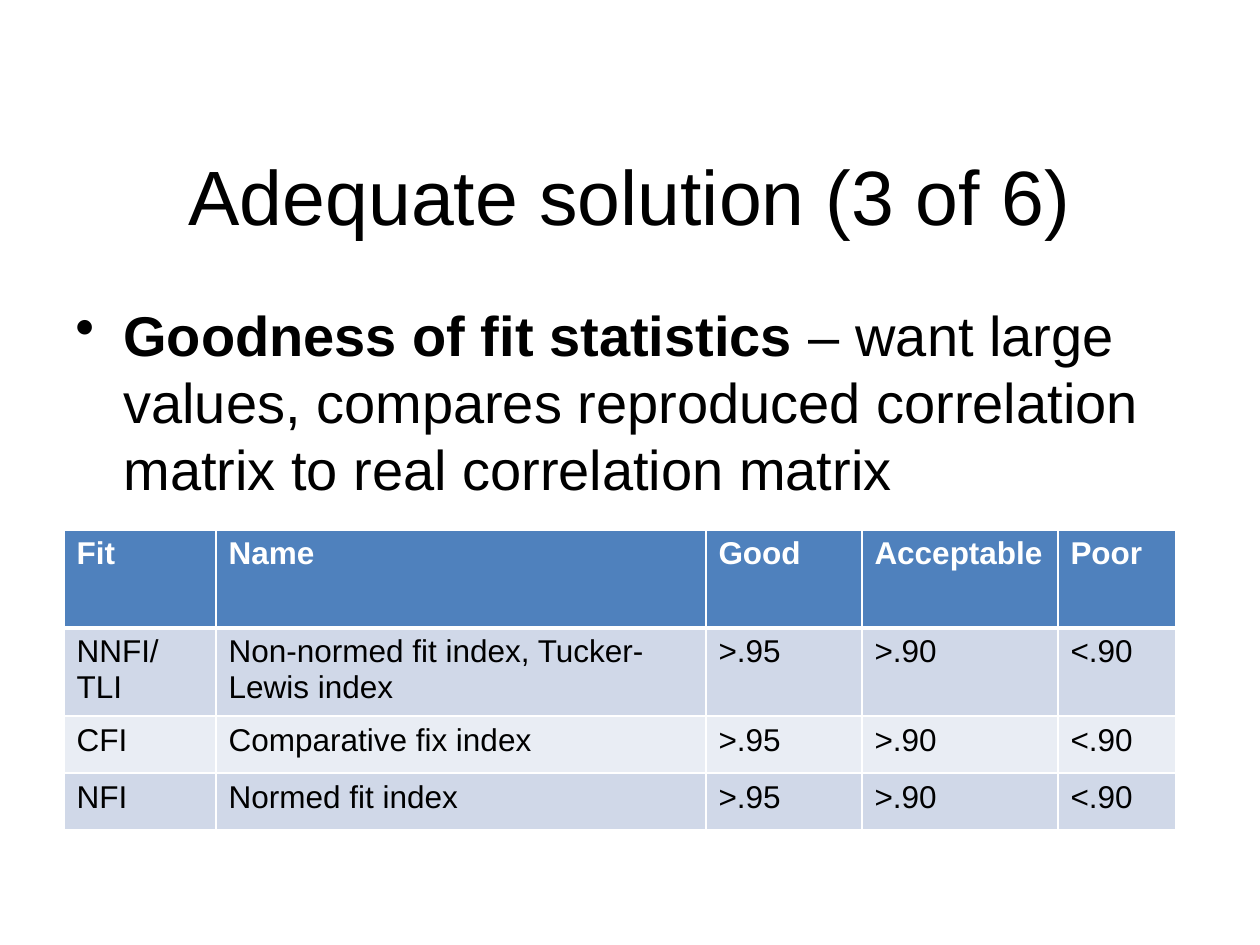
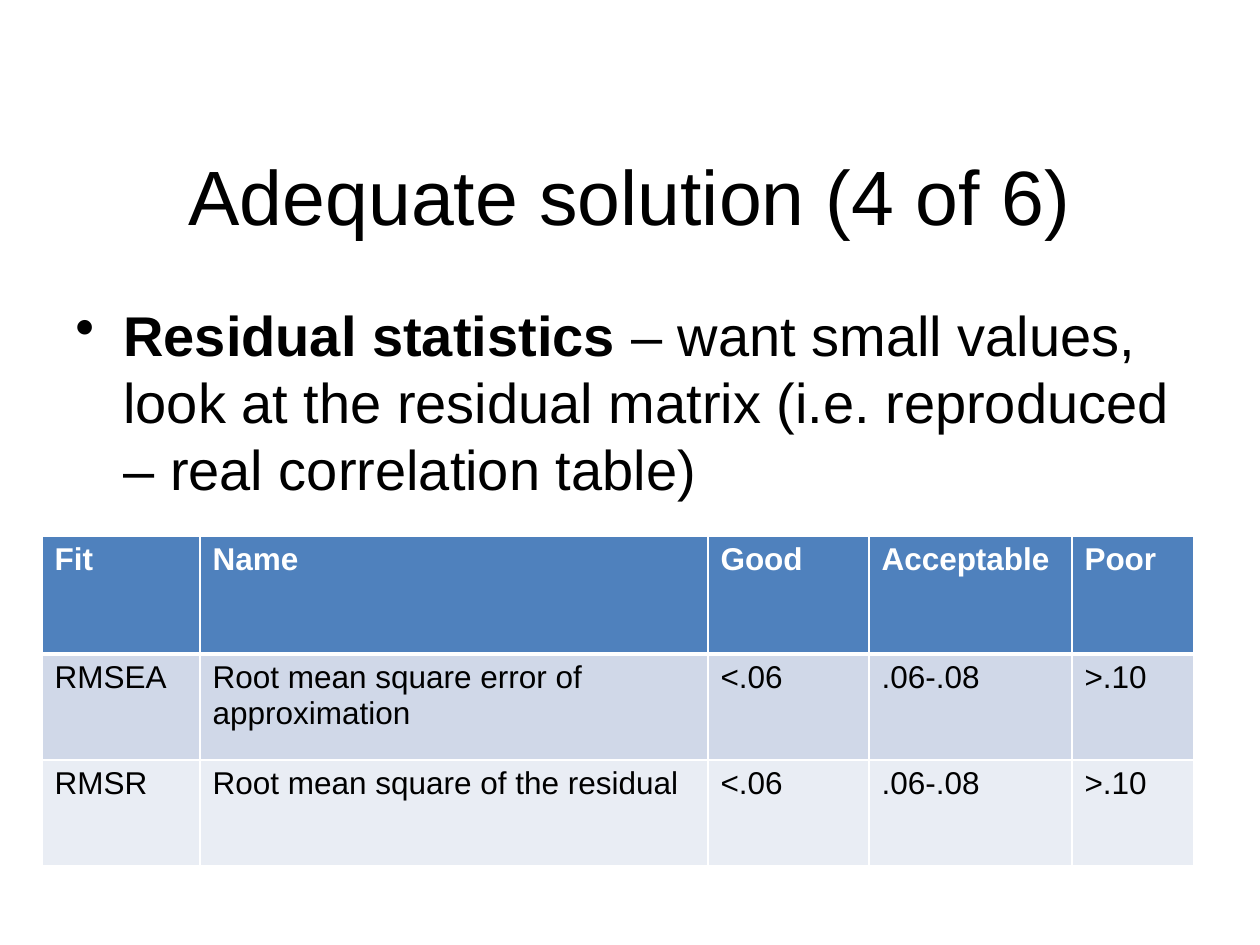
import pptx
import pptx.util
import pptx.dml.color
import pptx.enum.text
import pptx.oxml
import pptx.oxml.ns
import lxml.etree
from dataclasses import dataclass

EMU_PER_PX = 914400 // 126


@dataclass(frozen=True)
class Theme:
    font: str = "Arial"
    text: str = "000000"
    header_text: str = "FFFFFF"
    header_fill: str = "4F81BD"
    band_fills: tuple = ("D0D8E8", "E9EDF4")
    border: str = "FFFFFF"
    title_size: int = 44
    body_size: int = 32
    table_size: int = 18
    border_width: int = 1
    header_rule_width: int = 3


THEME = Theme()
HEADINGS = ["Fit", "Name", "Good", "Acceptable", "Poor"]


def px(length):
    return pptx.util.Emu(length * EMU_PER_PX)


def rgb(value):
    return pptx.dml.color.RGBColor.from_string(value)


def format_span(span, size, color=THEME.text, bold=False):
    span.font.name = THEME.font
    span.font.size = pptx.util.Pt(size)
    span.font.color.rgb = rgb(color)
    span.font.bold = bold


def add_text_frame(page, left, top, width, height):
    box = page.shapes.add_textbox(px(left), px(top), px(width), px(height))
    box.text_frame.word_wrap = True
    return box.text_frame


def add_title(page, title):
    frame = add_text_frame(page, 63, 116, 1134, 158)
    frame.text = title
    frame.vertical_anchor = pptx.enum.text.MSO_ANCHOR.MIDDLE
    para = frame.paragraphs[0]
    para.alignment = pptx.enum.text.PP_ALIGN.CENTER
    format_span(para.runs[0], THEME.title_size)


def add_bullet(page, term, explanation):
    frame = add_text_frame(page, 63, 294, 1134, 551)
    para = frame.paragraphs[0]
    # Hanging indent and bullet sign
    properties = para._p.get_or_add_pPr()
    properties.set("marL", str(px(48)))
    properties.set("indent", str(px(-48)))
    bullet = lxml.etree.SubElement(properties, pptx.oxml.ns.qn("a:buChar"))
    bullet.set("char", "•")
    # Bold term, plain explanation
    for wording, bold in ((term, True), (explanation, False)):
        span = para.add_run()
        span.text = wording
        format_span(span, THEME.body_size, bold=bold)


def set_borders(cell, bottom_width):
    properties = cell._tc.get_or_add_tcPr()
    widths = {"L": THEME.border_width, "R": THEME.border_width,
              "T": THEME.border_width, "B": bottom_width}
    for side, width in widths.items():
        properties.append(pptx.oxml.parse_xml(
            f'<a:ln{side} {pptx.oxml.ns.nsdecls("a")} w="{pptx.util.Pt(width)}">'
            f'<a:solidFill><a:srgbClr val="{THEME.border}"/></a:solidFill>'
            f'</a:ln{side}>'))


def fill_cell(cell, wording, row_index):
    is_header = row_index == 0
    set_borders(cell, THEME.header_rule_width if is_header else THEME.border_width)
    band = THEME.band_fills[(row_index - 1) % 2]
    cell.fill.solid()
    cell.fill.fore_color.rgb = rgb(THEME.header_fill if is_header else band)
    cell.text_frame.text = wording
    format_span(cell.text_frame.paragraphs[0].runs[0], THEME.table_size,
                THEME.header_text if is_header else THEME.text, is_header)


def add_fit_table(page, left, top, widths, heights, indices):
    rows = [HEADINGS, *indices]
    table = page.shapes.add_table(
        len(rows), len(widths), px(left), px(top),
        px(sum(widths)), px(sum(heights))).table
    table.horz_banding = False
    for column, width in zip(table.columns, widths):
        column.width = px(width)
    for row_index, (row, height) in enumerate(zip(table.rows, heights)):
        row.height = px(height)
        for cell, wording in zip(row.cells, rows[row_index]):
            fill_cell(cell, wording, row_index)


def add_page(deck, number, term, explanation):
    page = deck.slides.add_slide(deck.slide_layouts[6])
    add_title(page, f"Adequate solution ({number} of 6)")
    add_bullet(page, term, explanation)
    return page


def main():
    deck = pptx.Presentation()
    deck.slide_width = px(1260)
    deck.slide_height = px(945)

    # Goodness of fit
    page = add_page(deck, 3, "Goodness of fit statistics ",
                    "– want large values, compares reproduced correlation "
                    "matrix to real correlation matrix")
    limits = [">.95", ">.90", "<.90"]
    add_fit_table(page, 64, 530, [152, 490, 156, 196, 118], [98, 83, 57, 57], [
        ["NNFI/TLI", "Non-normed fit index, Tucker-Lewis index", *limits],
        ["CFI", "Comparative fix index", *limits],
        ["NFI", "Normed fit index", *limits],
    ])

    # Residuals
    page = add_page(deck, 4, "Residual statistics ",
                    "– want small values, look at the residual matrix "
                    "(i.e. reproduced – real correlation table)")
    limits = ["<.06", ".06-.08", ">.10"]
    add_fit_table(page, 42, 536, [158, 508, 161, 203, 122], [118, 106, 106], [
        ["RMSEA", "Root mean square error of approximation", *limits],
        ["RMSR", "Root mean square of the residual", *limits],
    ])

    deck.save("out.pptx")


if __name__ == "__main__":
    main()
